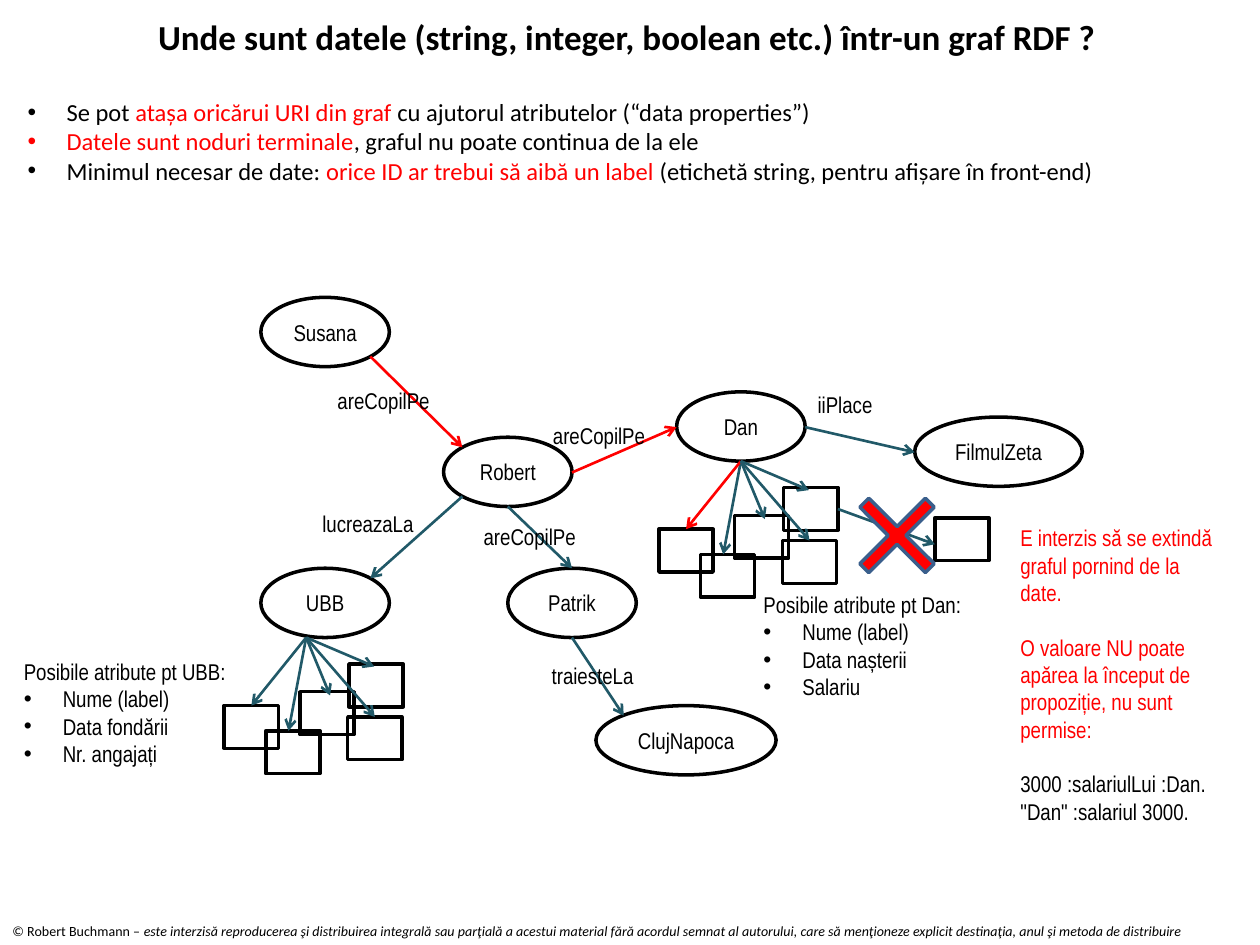
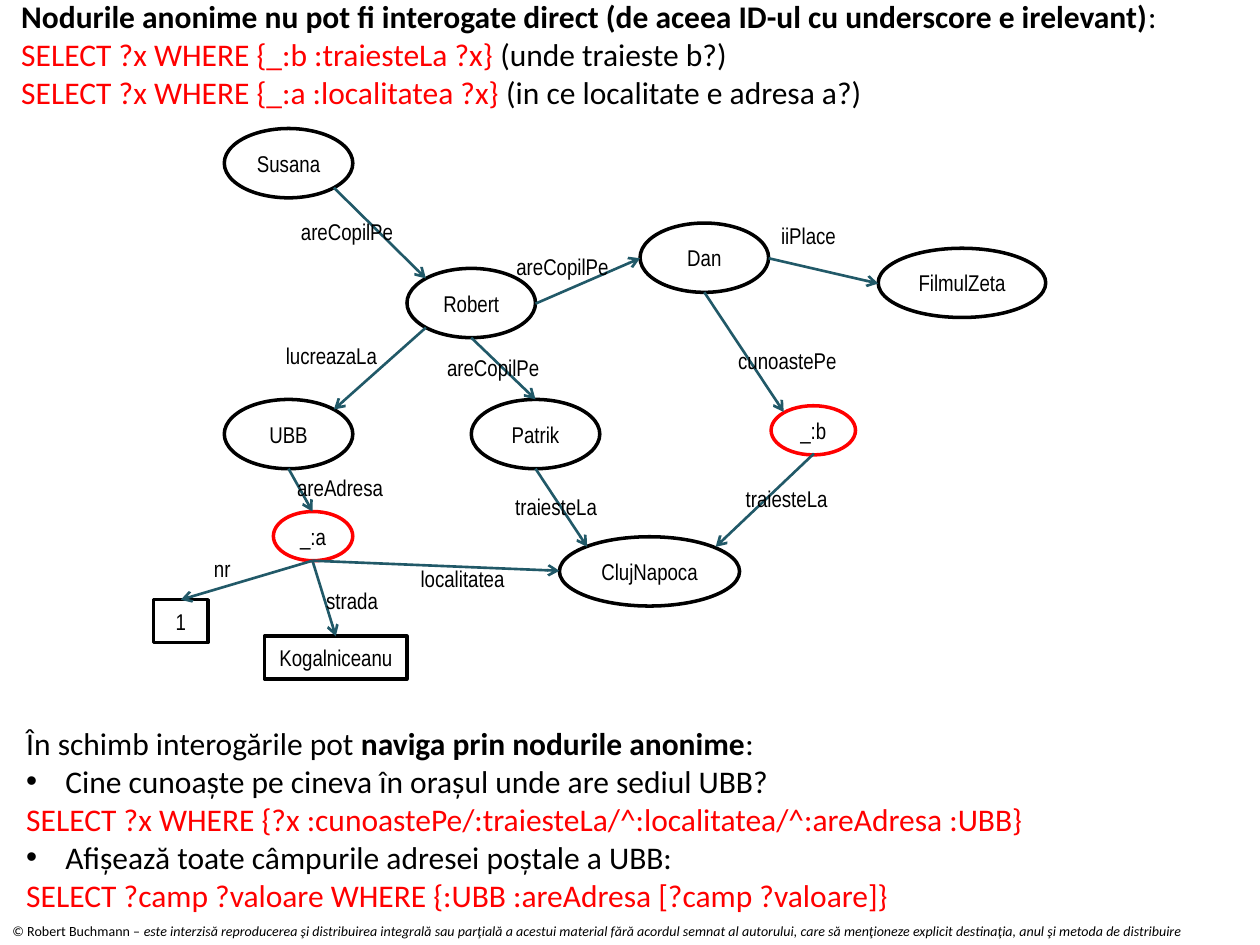
from lxml import etree
from pptx import Presentation, util as u
from pptx.dml.color import RGBColor
from pptx.enum import shapes, text
from pptx.oxml.ns import qn

BLACK = RGBColor(0, 0, 0)
RED = RGBColor(0xFF, 0, 0)
TEAL = RGBColor(0x21, 0x59, 0x68)
BLUE = RGBColor(0x3A, 0x5F, 0x8C)
OVAL = shapes.MSO_SHAPE.OVAL
RECT = shapes.MSO_SHAPE.RECTANGLE
BODY, GRAPH = "Calibri", "Arial Narrow"
BULLET = "•"
BOX_W, BOX_H = 0.43, 0.34


def write(frame, lines, font=GRAPH, size=13, align=text.PP_ALIGN.LEFT):
    for number, line in enumerate(lines):
        para = frame.add_paragraph() if number else frame.paragraphs[0]
        para.alignment = align
        if line[0] == BULLET:
            props = para._p.get_or_add_pPr()
            props.set("marL", str(u.Inches(0.31)))
            props.set("indent", str(-u.Inches(0.31)))
            etree.SubElement(props, qn("a:buFont")).set("typeface", "Arial")
            etree.SubElement(props, qn("a:buChar")).set("char", BULLET)
            line = line[1:]
        para.font.name = font
        para.font.size = u.Pt(size)
        for words, color, *style in line:
            span = para.add_run()
            span.text = words
            span.font.color.rgb = color
            if "bold" in style:
                span.font.bold = True
            if "italic" in style:
                span.font.italic = True
    return frame


def add_text(page, at, lines, **style):
    frame = page.shapes.add_textbox(*map(u.Inches, at)).text_frame
    frame.word_wrap = True
    return write(frame, lines, **style)


deck = Presentation()
deck.slide_width, deck.slide_height = u.Inches(10), u.Inches(7.5)
blank = deck.slide_layouts[6]
data_page = deck.slides.add_slide(blank)
anonymous_page = deck.slides.add_slide(blank)

footer = add_text(data_page, (0, 7.27, 10, 0.24), [[
    ("© Robert Buchmann – ", BLACK),
    ("este interzisă reproducerea şi distribuirea integrală sau parţială a acestui material fără "
     "acordul semnat al autorului, care să menţioneze explicit destinaţia, anul şi metoda de "
     "distribuire", BLACK, "italic")]], font=BODY, size=8)
blank.shapes.element.append(footer._txBody.getparent())

shared_nodes = [
    ("Robert", OVAL, 3.23, 2.13, 1.02, 0.55, BLACK),
    ("UBB", OVAL, 1.78, 3.17, 1.02, 0.55, BLACK),
    ("Dan", OVAL, 5.08, 1.77, 1.02, 0.55, BLACK),
    ("FilmulZeta", OVAL, 6.97, 1.97, 1.33, 0.55, BLACK),
    ("Susana", OVAL, 1.78, 1.02, 1.02, 0.55, BLACK),
    ("ClujNapoca", OVAL, 4.44, 4.26, 1.43, 0.55, BLACK),
    ("Patrik", OVAL, 3.74, 3.17, 1.02, 0.55, BLACK),
]
descent_edges = [(2.65, 1.49, 3.38, 2.21), (4.25, 2.41, 5.08, 2.05)]
other_edges = [
    (6.1, 2.05, 6.97, 2.25), (3.74, 2.68, 4.25, 3.17),
    (3.38, 2.6, 2.65, 3.25), (4.25, 3.72, 4.66, 4.34),
]
shared_labels = [
    ("areCopilPe", 4, 1.96, 1.21), ("areCopilPe", 2.29, 1.68, 1.21),
    ("areCopilPe", 3.45, 2.76, 1.21), ("lucreazaLa", 2.17, 2.66, 1.21),
    ("traiesteLa", 3.99, 3.86, 1.21), ("iiPlace", 6.1, 1.71, 1.38),
]

data_nodes = [("interzis", RECT, 7.42, 4.11, BOX_W, BOX_H, BLACK)]
data_edges = [(6.65, 4.05, 7.42, 4.32, TEAL, ("Dan 4", 3), None)]
attribute_fan = [
    (-0.32, 0.74, -0.14, 0.74, False), (-0.65, 0.54, -0.43, 0.54, True),
    (-0.05, 0.43, 0.19, 0.46, False), (0.33, 0.63, 0.55, 0.63, True),
    (0.34, 0.21, 0.54, 0.23, False),
]
for owner, x, y, first_color in [("Dan", 5.88, 3.66, RED), ("UBB", 2.43, 5.06, TEAL)]:
    for number, (left, top, tip_x, tip_y, joined) in enumerate(attribute_fan):
        name = f"{owner} {number}"
        data_nodes.append((name, RECT, x + left, y + top, BOX_W, BOX_H, BLACK))
        data_edges.append((x, y, x + tip_x, y + tip_y, first_color if number == 1 else TEAL,
                           None, (name, 0) if joined else None))

address_nodes = [
    ("_:b", OVAL, 6.12, 3.22, 0.67, 0.39, RED),
    ("_:a", OVAL, 2.17, 4.06, 0.63, 0.39, RED),
    ("1", RECT, 1.22, 4.76, BOX_W, BOX_H, BLACK),
    ("Kogalniceanu", RECT, 2.1, 5.05, 1.13, BOX_H, BLACK),
]
address_edges = [
    (5.59, 2.32, 6.22, 3.27, TEAL, None, None),
    (6.46, 3.6, 5.68, 4.34, TEAL, None, None),
    (2.29, 3.72, 2.48, 4.06, TEAL, None, None),
    (2.48, 4.45, 1.44, 4.76, TEAL, None, ("1", 0)),
    (2.48, 4.45, 2.67, 5.05, TEAL, None, ("Kogalniceanu", 0)),
    (2.48, 4.45, 4.44, 4.53, TEAL, None, None),
]
address_labels = [
    ("areAdresa", 2.26, 3.71, 1.21), ("nr", 1.6, 4.35, 0.43), ("strada", 2.49, 4.61, 0.65),
    ("localitatea", 3.24, 4.43, 0.9), ("cunoastePe", 5.76, 2.7, 1.15),
    ("traiesteLa", 5.82, 3.8, 1.15),
]

graphs = [
    (data_page, 0.29, 1.34, RED, data_nodes, data_edges, []),
    (anonymous_page, 0, 0, TEAL, address_nodes, address_edges, address_labels),
]
for page, dx, dy, descent_color, own_nodes, own_edges, own_labels in graphs:
    nodes = [(name, kind, x + dx, y + dy, w, h, color)
             for name, kind, x, y, w, h, color in shared_nodes] + own_nodes
    edges = [(x1 + dx, y1 + dy, x2 + dx, y2 + dy, color, None, None)
             for group, color in [(descent_edges, descent_color), (other_edges, TEAL)]
             for x1, y1, x2, y2 in group] + own_edges
    labels = [(name, x + dx, y + dy, w) for name, x, y, w in shared_labels] + own_labels

    drawn = {}
    for name, kind, x, y, w, h, color in nodes:
        node = page.shapes.add_shape(kind, *map(u.Inches, (x, y, w, h)))
        node.shadow.inherit = False
        node.fill.background()
        node.line.color.rgb = color
        node.line.width = u.Pt(2)
        drawn[name] = node
        if page is anonymous_page or kind == OVAL:
            node.text_frame.word_wrap = False
            node.text_frame.vertical_anchor = text.MSO_ANCHOR.MIDDLE
            write(node.text_frame, [[(name, BLACK)]], align=text.PP_ALIGN.CENTER)

    for x1, y1, x2, y2, color, begin, end in edges:
        edge = page.shapes.add_connector(
            shapes.MSO_CONNECTOR.STRAIGHT, *map(u.Inches, (x1, y1, x2, y2)))
        if begin:
            edge.begin_connect(drawn[begin[0]], begin[1])
        if end:
            edge.end_connect(drawn[end[0]], end[1])
        edge.line.color.rgb = color
        edge.line.width = u.Pt(1.5)
        etree.SubElement(edge.line._get_or_add_ln(), qn("a:tailEnd")).set("type", "arrow")
        etree.SubElement(edge._element.spPr, qn("a:effectLst"))

    for name, x, y, w in labels:
        add_text(page, (x, y, w, 0.32), [[(name, BLACK)]])

add_text(data_page, (0.33, 0.07, 9.29, 0.44), [
    [("Unde sunt datele (string, integer, boolean etc.) într-un graf RDF ?", BLACK, "bold")],
], font=BODY, size=20, align=text.PP_ALIGN.CENTER)
add_text(data_page, (0.12, 0.72, 9.88, 0.81), [
    [BULLET, ("Se pot ", BLACK), ("atașa oricărui URI din graf ", RED),
     ("cu ajutorul atributelor (“data properties”)", BLACK)],
    [BULLET, ("Datele sunt noduri terminale", RED),
     (", graful nu poate continua de la ele", BLACK)],
    [BULLET, ("Minimul necesar de date: ", BLACK),
     ("orice ID ar trebui să aibă un label ", RED),
     ("(etichetă string, pentru afișare în front-end)", BLACK)],
], font=BODY, size=14)

for owner, x, y, attributes in [
    ("Dan", 5.96, 4.64, ["Nume (label)", "Data nașterii", "Salariu"]),
    ("UBB", 0.09, 5.17, ["Nume (label)", "Data fondării", "Nr. angajați"]),
]:
    add_text(data_page, (x, y, 1.92, 0.98),
             [[(f"Posibile atribute pt {owner}:", BLACK)]]
             + [[BULLET, (attribute, BLACK)] for attribute in attributes])

cross = data_page.shapes.add_shape(
    shapes.MSO_SHAPE.MATH_MULTIPLY, *map(u.Inches, (6.62, 3.75, 1, 1)))
cross.adjustments[0] = 0.1
cross.shadow.inherit = False
cross.fill.solid()
cross.fill.fore_color.rgb = RED
cross.line.color.rgb = BLUE
cross.line.width = u.Pt(2)

warning = add_text(data_page, (8, 4.11, 1.78, 2.51), [
    [("E interzis să se extindă graful pornind de la date.", RED)],
    [("O valoare NU poate apărea la început de propoziție, nu sunt permise:", RED)],
    [("3000 :salariulLui :Dan.", BLACK)],
    [('"Dan" :salariul 3000.', BLACK)],
])
for para in warning.paragraphs[1:3]:
    para.space_before = u.Pt(15.6)

add_text(anonymous_page, (0.07, -0.07, 9.69, 1.01), [
    [("Nodurile anonime nu pot fi interogate direct (de aceea ID-ul cu underscore e irelevant)",
      BLACK, "bold"), (":", BLACK)],
    [("SELECT ?x WHERE {_:b :traiesteLa ?x} ", RED), ("(unde traieste b?)", BLACK)],
    [("SELECT ?x WHERE {_:a :localitatea ?x} ", RED),
     ("(in ce localitate e adresa a?)", BLACK)],
], font=BODY, size=18)
add_text(anonymous_page, (0.11, 5.7, 9.65, 1.63), [
    [("În schimb interogările pot ", BLACK), ("naviga prin nodurile anonime", BLACK, "bold"),
     (":", BLACK)],
    [BULLET, ("Cine cunoaște pe cineva în orașul unde are sediul UBB?", BLACK)],
    [("SELECT ?x WHERE {?x :cunoastePe/:traiesteLa/^:localitatea/^:areAdresa :UBB}", RED)],
    [BULLET, ("Afișează toate câmpurile adresei poștale a UBB:", BLACK)],
    [("SELECT ?camp ?valoare WHERE {:UBB :areAdresa [?camp ?valoare]}", RED)],
], font=BODY, size=18)

deck.save("out.pptx")
